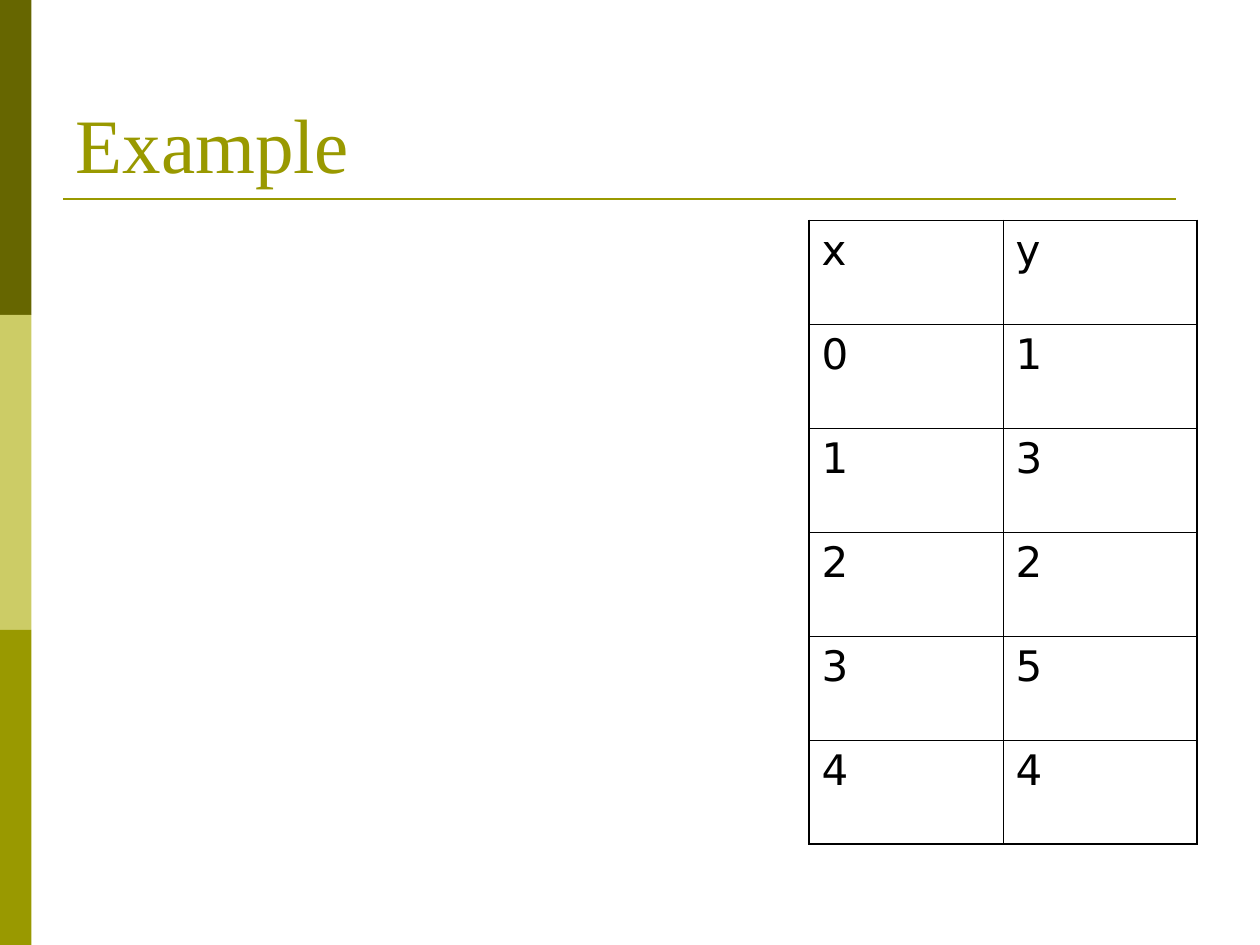
from lxml import etree
from pptx import Presentation
from pptx.dml.color import RGBColor
from pptx.enum.shapes import MSO_CONNECTOR, MSO_SHAPE
from pptx.enum.text import MSO_ANCHOR, PP_ALIGN
from pptx.oxml.ns import qn
from pptx.util import Inches, Pt

RECTANGLE = MSO_SHAPE.RECTANGLE
STRAIGHT = MSO_CONNECTOR.STRAIGHT
BOTTOM = MSO_ANCHOR.BOTTOM
LEFT = PP_ALIGN.LEFT

DARK_OLIVE, LIGHT_OLIVE, OLIVE, BLACK = "666600", "CCCC66", "999900", "000000"
BAND_COLORS = [DARK_OLIVE, LIGHT_OLIVE, OLIVE]
POINTS = [("x", "y"), (0, 1), (1, 3), (2, 2), (3, 5), (4, 4)]


def color(value):
    """Return the colour for a hex string."""
    return RGBColor.from_string(value)


class SlideBuilder:
    """Hold the style and the current slide, and add elements to it."""

    title_font = "Times New Roman"
    body_font = "DejaVu Sans"
    thin, thick = Pt(0.45), Pt(1.08)

    def __init__(self, slide):
        """Keep the slide to build on."""
        self.slide = slide

    def format_text(self, paragraph, font_name, size, text_color):
        """Align a paragraph left and style its runs."""
        paragraph.alignment = LEFT
        for run in paragraph.runs:
            run.font.name = font_name
            run.font.size = Pt(size)
            run.font.color.rgb = color(text_color)

    def add_band(self, left, top, width, height, fill):
        """Add a plain filled rectangle."""
        shape = self.slide.shapes.add_shape(
            RECTANGLE, Inches(left), Inches(top), Inches(width), Inches(height)
        )
        shape.shadow.inherit = False
        shape.fill.solid()
        shape.fill.fore_color.rgb = color(fill)
        shape.line.fill.background()

    def add_rule(self, left, right, y, line_color, width):
        """Add a horizontal line."""
        connector = self.slide.shapes.add_connector(
            STRAIGHT, Inches(left), Inches(y), Inches(right), Inches(y)
        )
        connector.line.color.rgb = color(line_color)
        connector.line.width = Pt(width)
        etree.SubElement(connector._element.spPr, qn("a:effectLst"))

    def set_title(self, text, left, top, width, height):
        """Fill and place the title placeholder."""
        title = self.slide.shapes.title
        title.left, title.top = Inches(left), Inches(top)
        title.width, title.height = Inches(width), Inches(height)
        title.text_frame.text = text
        title.text_frame.vertical_anchor = BOTTOM
        self.format_text(title.text_frame.paragraphs[0], self.title_font, 44, OLIVE)

    def add_border(self, cell, side, width):
        """Draw one solid black side of a cell."""
        properties = cell._tc.get_or_add_tcPr()
        line = etree.SubElement(properties, qn(f"a:ln{side}"), w=str(width))
        fill = etree.SubElement(line, qn("a:solidFill"))
        etree.SubElement(fill, qn("a:srgbClr"), val=BLACK)

    def add_table(self, rows, left, top, width, height):
        """Add an unfilled grid with a heavier outer frame."""
        row_count, column_count = len(rows), len(rows[0])
        table = self.slide.shapes.add_table(
            row_count, column_count,
            Inches(left), Inches(top), Inches(width), Inches(height),
        ).table
        table.first_row = table.horz_banding = False
        for row_index, row in enumerate(rows):
            for column_index, value in enumerate(row):
                cell = table.cell(row_index, column_index)
                outer_sides = {
                    "L": column_index == 0,
                    "R": column_index == column_count - 1,
                    "T": row_index == 0,
                    "B": row_index == row_count - 1,
                }
                for side, is_outer in outer_sides.items():
                    self.add_border(cell, side, self.thick if is_outer else self.thin)
                cell.fill.background()
                cell.text_frame.text = str(value)
                paragraph = cell.text_frame.paragraphs[0]
                paragraph.space_before = Pt(6)
                self.format_text(paragraph, self.body_font, 24, BLACK)


def main():
    """Build and save the slide."""
    presentation = Presentation()
    presentation.slide_width, presentation.slide_height = Inches(10), Inches(7.5)
    title_only = presentation.slide_layouts[5]
    builder = SlideBuilder(presentation.slides.add_slide(title_only))

    band_height = 7.5 / len(BAND_COLORS)
    for index, fill in enumerate(BAND_COLORS):
        builder.add_band(0, index * band_height, 0.25, band_height, fill)
    builder.add_rule(0.5, 9.33, 1.58, OLIVE, 1.5)
    builder.set_title("Example", 0.5, 0.3, 9, 1.25)
    builder.add_table(POINTS, 6.42, 1.75, 3.08, 4.95)

    presentation.save("out.pptx")


if __name__ == "__main__":
    main()
